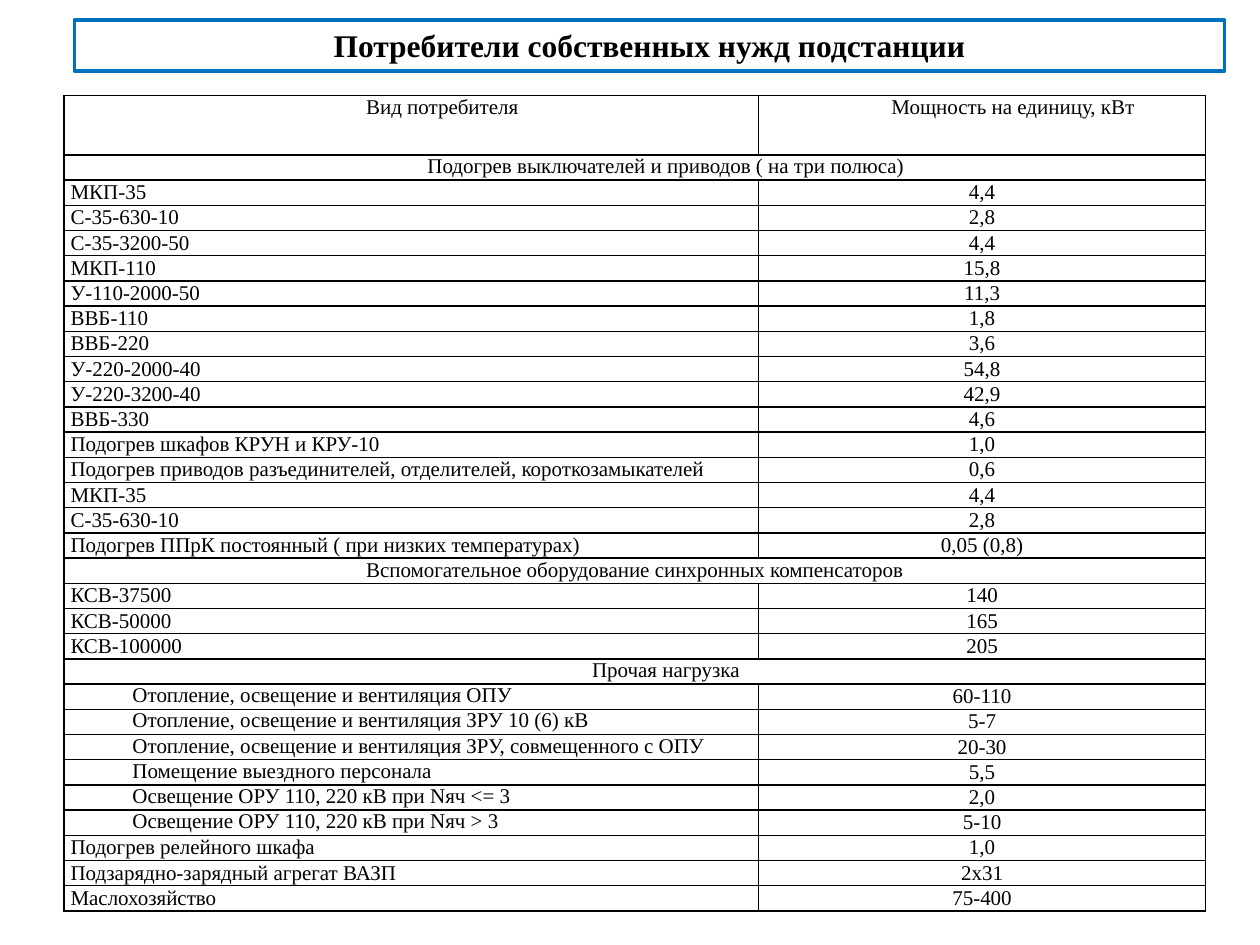
from dataclasses import dataclass

from lxml.etree import SubElement
from pptx import Presentation
from pptx.dml.color import RGBColor as RGB
from pptx.enum.shapes import MSO_SHAPE as Shape
from pptx.enum.text import MSO_ANCHOR as Anchor, MSO_AUTO_SIZE as AutoSize, PP_ALIGN as Align
from pptx.oxml.ns import qn
from pptx.util import Pt


@dataclass(frozen=True)
class Theme:
    """Colours, type sizes and line widths of the slide."""
    font: str = "Times New Roman"
    ink: str = "000000"
    frame: str = "0070C0"
    title_size: float = 18
    body_size: float = 12
    frame_width: float = 2
    border_width: float = 1


@dataclass(frozen=True)
class Row:
    """One table row; a row without a value spans both columns."""
    label: str
    value: str = ""
    indent: float = 0
    centred: bool = False


THEME = Theme()
INDENT = 35.4
COLUMNS = (396.7, 255.6)
HEADER_HEIGHT, ROW_HEIGHT = 33.8, 14.4
ROWS = [
    Row("Вид потребителя", "Мощность на единицу, кВт", INDENT, True),
    Row("Подогрев выключателей и приводов ( на три полюса)", indent=INDENT, centred=True),
    Row("МКП-35", "4,4"),
    Row("С-35-630-10", "2,8"),
    Row("С-35-3200-50", "4,4"),
    Row("МКП-110", "15,8"),
    Row("У-110-2000-50", "11,3"),
    Row("ВВБ-110", "1,8"),
    Row("ВВБ-220", "3,6"),
    Row("У-220-2000-40", "54,8"),
    Row("У-220-3200-40", "42,9"),
    Row("ВВБ-330", "4,6"),
    Row("Подогрев шкафов КРУН и КРУ-10", "1,0"),
    Row("Подогрев приводов разъединителей, отделителей, короткозамыкателей", "0,6"),
    Row("МКП-35", "4,4"),
    Row("С-35-630-10", "2,8"),
    Row("Подогрев ППрК постоянный ( при низких температурах)", "0,05 (0,8)"),
    Row("Вспомогательное оборудование синхронных компенсаторов", centred=True),
    Row("КСВ-37500", "140"),
    Row("КСВ-50000", "165"),
    Row("КСВ-100000", "205"),
    Row("Прочая нагрузка", indent=INDENT, centred=True),
    Row("Отопление, освещение и вентиляция ОПУ", "60-110", INDENT),
    Row("Отопление, освещение и вентиляция ЗРУ 10 (6) кВ", "5-7", INDENT),
    Row("Отопление, освещение и вентиляция ЗРУ, совмещенного с ОПУ", "20-30", INDENT),
    Row("Помещение выездного персонала", "5,5", INDENT),
    Row("Освещение ОРУ 110, 220 кВ при Nяч <= 3", "2,0", INDENT),
    Row("Освещение ОРУ 110, 220 кВ при Nяч > 3", "5-10", INDENT),
    Row("Подогрев релейного шкафа", "1,0"),
    Row("Подзарядно-зарядный агрегат ВАЗП", "2х31"),
    Row("Маслохозяйство", "75-400"),
]


def write(tf, text: str, *, size: float = THEME.body_size, bold: bool = False,
          align=Align.LEFT, indent: float = 0) -> None:
    """Put one formatted paragraph into a text frame."""
    p = tf.paragraphs[0]
    p.alignment = align
    if indent:
        pPr = p._p.get_or_add_pPr()
        pPr.set("marL", "0")
        pPr.set("indent", str(int(Pt(indent))))
    r = p.add_run()
    r.text = text
    r.font.name, r.font.size, r.font.bold = THEME.font, Pt(size), bold
    r.font.color.rgb = RGB.from_string(THEME.ink)


def style_cell(cell) -> None:
    """Give a cell its borders, margins and empty fill."""
    tcPr = cell._tc.get_or_add_tcPr()
    for side in ("lnL", "lnR", "lnT", "lnB"):
        ln = SubElement(tcPr, qn(f"a:{side}"), w=str(int(Pt(THEME.border_width))))
        SubElement(SubElement(ln, qn("a:solidFill")), qn("a:srgbClr"), val=THEME.ink)
    cell.fill.background()
    cell.margin_left = cell.margin_right = Pt(3.6)
    cell.margin_top = cell.margin_bottom = Pt(0)
    cell.vertical_anchor = Anchor.MIDDLE


def fill_cell(cell, text: str, align, indent: float = 0) -> None:
    """Write a cell's text; indented text sits at the top."""
    write(cell.text_frame, text, align=align, indent=indent)
    if indent:
        cell.vertical_anchor = Anchor.TOP


def add_consumers(slide, rows: list[Row]) -> None:
    """Draw the table of consumers."""
    height = HEADER_HEIGHT + ROW_HEIGHT * (len(rows) - 1)
    table = slide.shapes.add_table(len(rows), len(COLUMNS), Pt(36.7), Pt(54.7),
                                   Pt(sum(COLUMNS)), Pt(height)).table
    table.first_row = table.horz_banding = False
    for column, width in zip(table.columns, COLUMNS):
        column.width = Pt(width)
    for i, row in enumerate(rows):
        table.rows[i].height = Pt(ROW_HEIGHT if i else HEADER_HEIGHT)
        left, right = table.cell(i, 0), table.cell(i, 1)
        for cell in (left, right):
            style_cell(cell)
        fill_cell(left, row.label, Align.CENTER if row.centred else Align.LEFT, row.indent)
        if row.value:
            fill_cell(right, row.value, Align.CENTER, row.indent if row.centred else 0)
        else:
            left.merge(right)


def add_title(slide, text: str) -> None:
    """Draw the framed title."""
    sp = slide.shapes.add_shape(Shape.RECTANGLE, Pt(42.5), Pt(11.5), Pt(657.4), Pt(29))
    sp.shadow.inherit = False
    sp.fill.background()
    sp.line.color.rgb = RGB.from_string(THEME.frame)
    sp.line.width = Pt(THEME.frame_width)
    tf = sp.text_frame
    tf.word_wrap = True
    tf.auto_size = AutoSize.SHAPE_TO_FIT_TEXT
    tf.vertical_anchor = Anchor.TOP
    write(tf, text, size=THEME.title_size, bold=True, align=Align.CENTER)


def main() -> None:
    """Build and save the slide."""
    prs = Presentation()
    prs.slide_width, prs.slide_height = Pt(720), Pt(540)
    s = prs.slides.add_slide(prs.slide_layouts[6])
    add_consumers(s, ROWS)
    add_title(s, "Потребители собственных нужд подстанции")
    prs.save("out.pptx")


if __name__ == "__main__":
    main()
